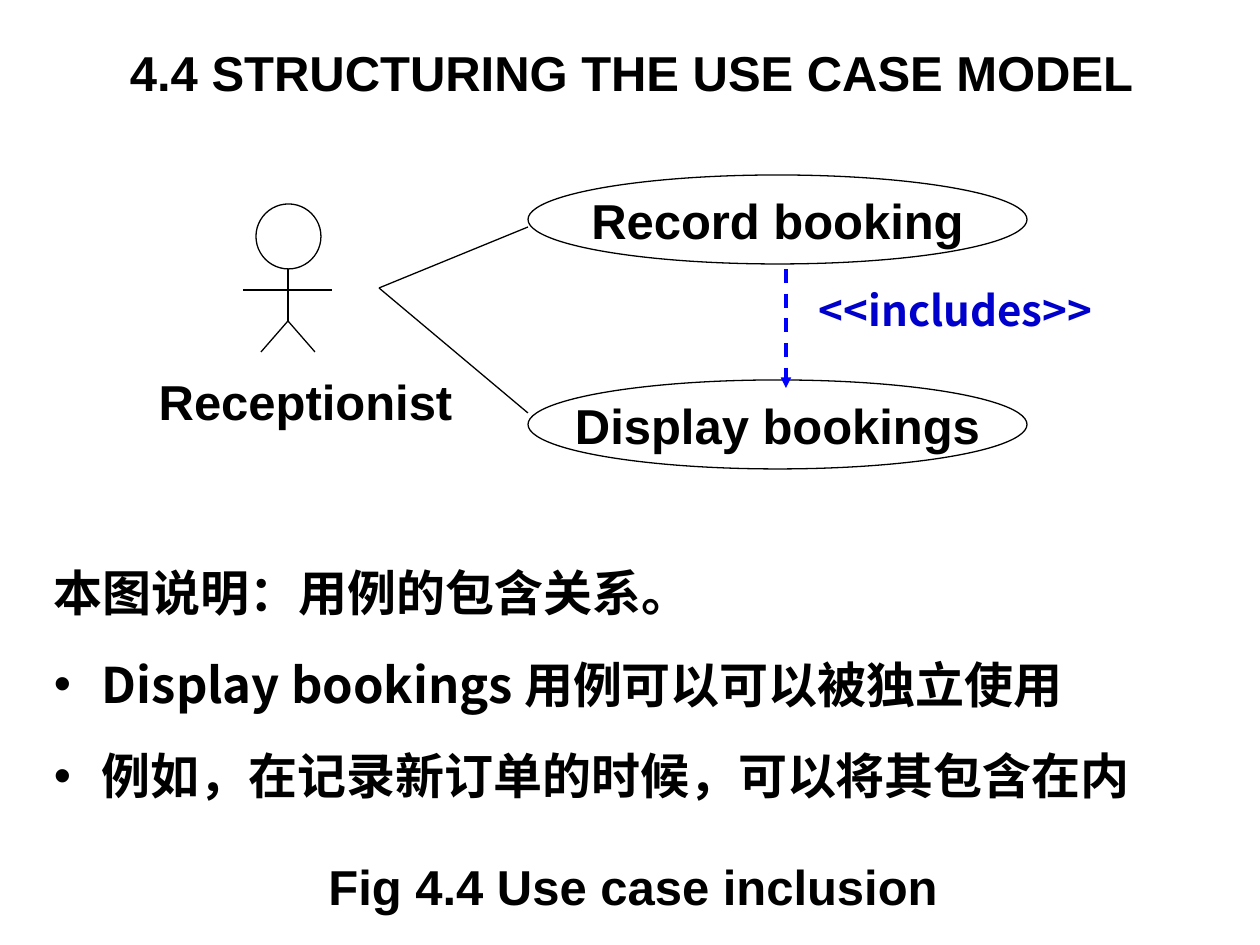
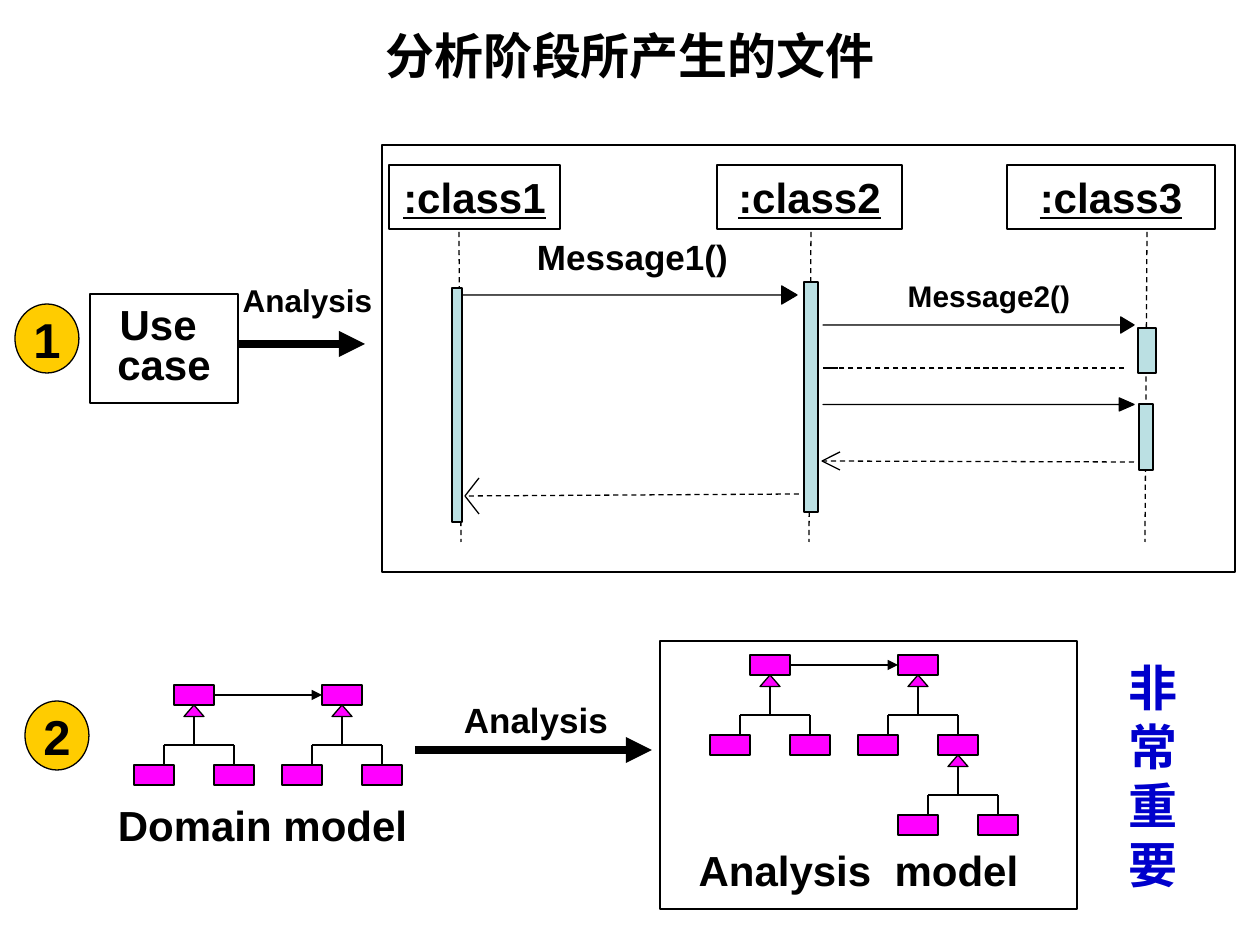
"""Build two slides on use case structure and analysis models."""
import pptx
import pptx.dml.color
import pptx.enum.dml
import pptx.enum.shapes
import pptx.enum.text
import pptx.oxml
import pptx.oxml.ns
import pptx.util

PX = 914400 / 126
SANS, HAN = "Arial", "Noto Sans CJK SC"
BLACK, WHITE, BLUE, NAVY = "000000", "FFFFFF", "0000FF", "0000CC"
PINK, TEAL, GOLD = "FF00FF", "BBE0E3", "FFCC00"
FORM = pptx.enum.shapes.MSO_SHAPE
ALIGN = pptx.enum.text.PP_ALIGN
ANCHOR = pptx.enum.text.MSO_ANCHOR
BODY_PAD = (13, 6)
NODE_W, NODE_H = 40, 20


def emu(*values):
    return [pptx.util.Emu(round(v * PX)) for v in values]


def color(code):
    return pptx.dml.color.RGBColor.from_string(code)


def add_xml(parent, tag, **attrs):
    node = pptx.oxml.ns.qn(tag)
    child = parent.makeelement(node, attrs)
    parent.append(child)
    return child


def write(shape, text, size=28, font=SANS, ink=BLACK, align=ALIGN.CENTER,
          anchor=ANCHOR.MIDDLE, pad=BODY_PAD, wrap=False, under=False,
          lead=None, gap=0, indent=0, bullets=()):
    frame = shape.text_frame
    frame.word_wrap = wrap
    frame.vertical_anchor = anchor
    side, top = emu(*pad)
    frame.margin_left = frame.margin_right = side
    frame.margin_top = frame.margin_bottom = top
    for i, line in enumerate(text.split("\n")):
        para = frame.paragraphs[0] if i == 0 else frame.add_paragraph()
        para.alignment = align
        if lead:
            para.line_spacing = lead
        if i and gap:
            para.space_before = pptx.util.Pt(gap)
        props = para._p.get_or_add_pPr()
        if indent:
            step = emu(indent)[0]
            props.set("marL", str(step))
            props.set("indent", str(-step))
        if i in bullets:
            add_xml(props, "a:buFont", typeface=SANS)
            add_xml(props, "a:buChar", char="•")
        run = para.add_run()
        run.text = line
        run.font.size = pptx.util.Pt(size)
        run.font.bold = True
        run.font.underline = under or None
        run.font.color.rgb = color(ink)
        run.font.name = font
        add_xml(run._r.get_or_add_rPr(), "a:ea", typeface=HAN)


def label(slide, box, text, **style):
    write(slide.shapes.add_textbox(*emu(*box)), text, **style)


def title(slide, box, text):
    label(slide, box, text, wrap=True)


def draw(slide, form, box, fill=None, text=None, bend=(), **style):
    shape = slide.shapes.add_shape(form, *emu(*box))
    shape.shadow.inherit = False
    if fill:
        shape.fill.solid()
        shape.fill.fore_color.rgb = color(fill)
    else:
        shape.fill.background()
    shape.line.color.rgb = color(BLACK)
    shape.line.width = pptx.util.Pt(0.75)
    for i, value in enumerate(bend):
        shape.adjustments[i] = value
    if text:
        write(shape, text, **style)


def line(slide, ends, ink=BLACK, width=0.75, dash=False, head=False):
    kind = pptx.enum.shapes.MSO_CONNECTOR.STRAIGHT
    link = slide.shapes.add_connector(kind, *emu(*ends))
    link.line.color.rgb = color(ink)
    link.line.width = pptx.util.Pt(width)
    if dash:
        link.line.dash_style = pptx.enum.dml.MSO_LINE.DASH
    if head:
        add_xml(link.line._get_or_add_ln(), "a:tailEnd", type="triangle")
    add_xml(link._element.spPr, "a:effectLst")


def actor(slide, mid, top):
    draw(slide, FORM.OVAL, (mid - 32, top, 65, 65), WHITE)
    hip = top + 117
    line(slide, (mid - 45, top + 86, mid + 44, top + 86))
    line(slide, (mid, top + 65, mid, hip))
    for foot in (mid - 27, mid + 27):
        line(slide, (mid, hip, foot, hip + 31))


def node(slide, x, y):
    draw(slide, FORM.RECTANGLE, (x, y, NODE_W, NODE_H), PINK)


def branch(slide, x, y):
    """Draw the two subtypes under the node at x, y."""
    bar, low = y + 60, y + 80
    ends = (x - 10, x + 60)
    line(slide, (ends[0], bar, ends[1], bar))
    for end, left in zip(ends, (x - 40, x + 40)):
        line(slide, (end, bar, end, low))
        node(slide, left, low)
    draw(slide, FORM.UP_ARROW, (x + 10, y + 20, 20, 40), PINK,
         bend=(0.03, 0.58))


def model(slide, x, y):
    for left in (x, x + 148):
        node(slide, left, y)
        branch(slide, left, y)
    line(slide, (x + NODE_W, y + 10, x + 148, y + 10), head=True)


def call(slide, box, point):
    draw(slide, FORM.RIGHT_ARROW, box, BLACK, bend=(0, point))


def reply(slide, ends, barb, rise):
    """Draw a dashed return line with an open head."""
    line(slide, ends, dash=True)
    tip, mid = ends[2:]
    for side in (-rise, rise):
        line(slide, (tip + barb, mid + side, tip, mid))


def cases(slide):
    for end in (227, 413):
        line(slide, (379, 288, 528, end))
    for top, name in ((175, "Record booking"), (380, "Display bookings")):
        draw(slide, FORM.OVAL, (528, top, 499, 89), WHITE, name)
    actor(slide, 288, 204)
    label(slide, (146, 365, 319, 72), "Receptionist", pad=(0, 6))
    line(slide, (786, 269, 786, 388), BLUE, 2, dash=True, head=True)
    label(slide, (806, 279, 330, 63), "<<includes>>", size=24, font=HAN,
          ink=NAVY, align=ALIGN.LEFT, anchor=ANCHOR.TOP, wrap=True)
    label(slide, (316, 850, 634, 72), "Fig 4.4 Use case inclusion",
          pad=(0, 6))
    title(slide, (104, 36, 1055, 72), "4.4 STRUCTURING THE USE CASE MODEL")
    notes = ("本图说明：用例的包含关系。\n"
             "Display bookings 用例可以可以被独立使用\n"
             "例如，在记录新订单的时候，可以将其包含在内")
    label(slide, (54, 551, 1171, 253), notes, font=HAN, align=ALIGN.LEFT,
          anchor=ANCHOR.TOP, pad=(0, 0), wrap=True, lead=1.2, gap=12,
          indent=48, bullets=(1, 2))


def sequence(slide):
    draw(slide, FORM.RECTANGLE, (382, 145, 853, 427))
    for top, foot in ((459, 461), (811, 809), (1147, 1145)):
        line(slide, (top, 232, foot, 542), dash=True)
    heads = ((389, 171), (717, 185), (1007, 208))
    for i, (x, width) in enumerate(heads, 1):
        draw(slide, FORM.RECTANGLE, (x, 165, width, 64), WHITE, f":class{i}",
             size=24, under=True, pad=(8, 4), wrap=True)
    call(slide, (459, 286, 338, 18), 0.85)
    call(slide, (823, 317, 311, 16), 0.83)
    call(slide, (823, 398, 311, 13), 1.14)
    line(slide, (1124, 368, 823, 368), dash=True)
    line(slide, (838, 368, 823, 368))
    reply(slide, (1134, 462, 822, 461), 18, 9)
    reply(slide, (799, 494, 465, 496), 14, 18)
    bars = ((452, 288, 10, 234), (804, 282, 14, 230),
            (1138, 328, 18, 45), (1139, 404, 14, 66))
    for bar in bars:
        draw(slide, FORM.RECTANGLE, bar, TEAL)
    flat = dict(anchor=ANCHOR.TOP, pad=(0, 0), wrap=True)
    label(slide, (488, 236, 289, 45), "Message1()", size=20, **flat)
    label(slide, (844, 278, 290, 37), "Message2()", size=17, **flat)


def files(slide):
    title(slide, (63, 26, 1134, 58), "分析阶段所产生的文件")
    for i, (x, y) in enumerate(((15, 304), (25, 701)), 1):
        draw(slide, FORM.OVAL, (x, y, 64, 69), GOLD, str(i))
    draw(slide, FORM.RECTANGLE, (90, 294, 148, 109), WHITE, "Use \ncase",
         size=24, lead=0.8)
    line(slide, (237, 344, 365, 344), width=5, head=True)
    label(slide, (233, 274, 149, 57), "Analysis", size=18, pad=(0, 0),
          lead=0.9)
    sequence(slide)
    model(slide, 174, 685)
    line(slide, (415, 750, 652, 750), width=5, head=True)
    label(slide, (422, 694, 228, 57), "Analysis", size=20, lead=0.9)
    draw(slide, FORM.RECTANGLE, (660, 641, 417, 268))
    model(slide, 750, 655)
    branch(slide, 938, 735)
    flat = dict(size=24, anchor=ANCHOR.TOP, pad=(0, 0), wrap=True)
    label(slide, (114, 800, 297, 50), "Domain model", **flat)
    label(slide, (670, 845, 377, 50), "Analysis  model", **flat)
    label(slide, (1116, 652, 62, 248), "非常重要", font=HAN, ink=NAVY,
          align=ALIGN.LEFT, anchor=ANCHOR.TOP, wrap=True)


def main():
    deck = pptx.Presentation()
    deck.slide_width, deck.slide_height = emu(1260, 945)
    for build in (cases, files):
        build(deck.slides.add_slide(deck.slide_layouts[6]))
    deck.save("out.pptx")


if __name__ == "__main__":
    main()
